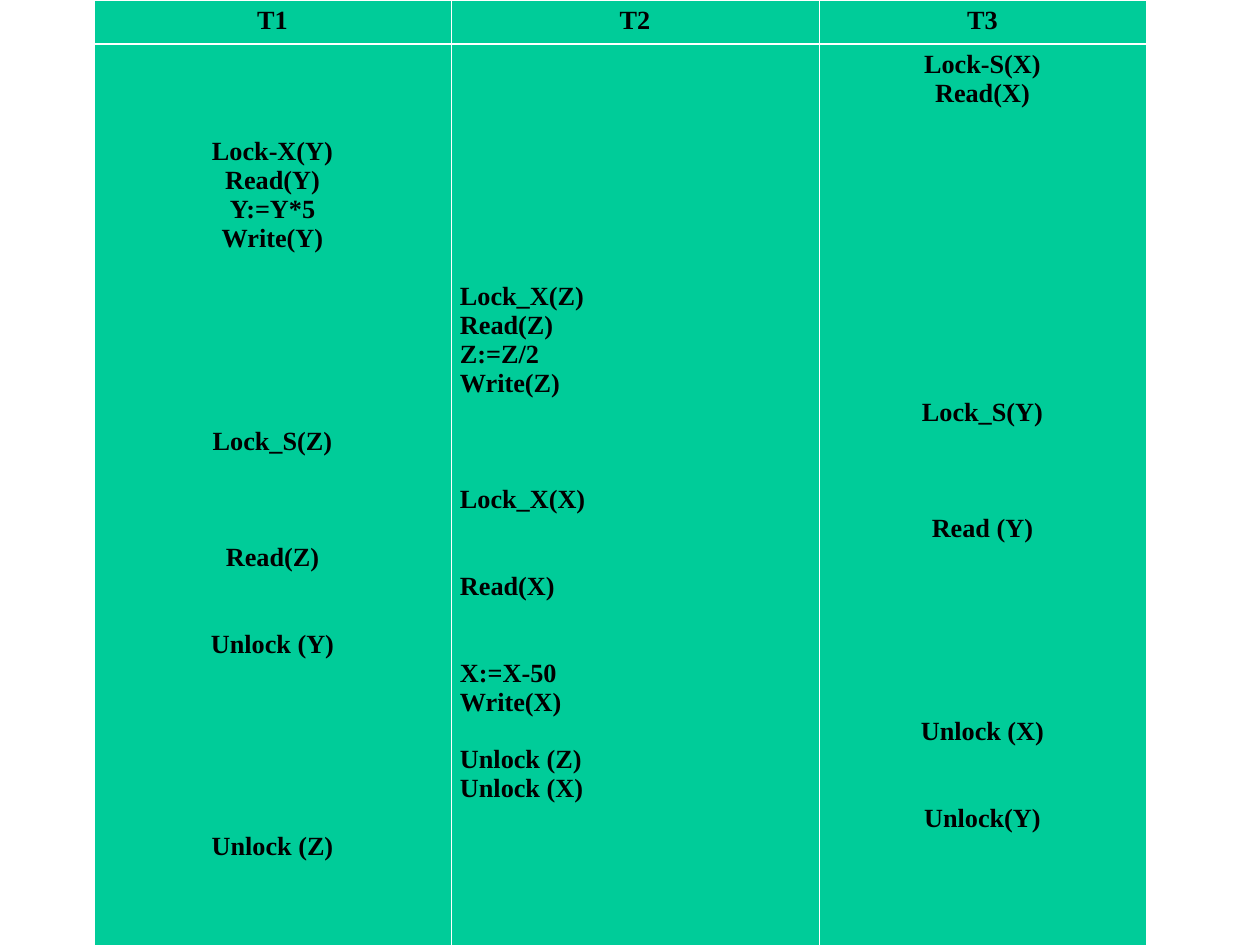
from dataclasses import dataclass

from lxml import etree
from pptx import Presentation
from pptx.dml.color import RGBColor
from pptx.enum.text import MSO_ANCHOR, PP_ALIGN
from pptx.oxml.ns import qn
from pptx.util import Emu, Pt

CENTER, JUSTIFY, TOP = PP_ALIGN.CENTER, PP_ALIGN.JUSTIFY, MSO_ANCHOR.TOP

EMU_PER_PX = 914400 / 126
COLORS = {"cell": "00CC99", "text": "000000", "border": "FFFFFF"}
FONT, FONT_SIZE = "Times New Roman", 15
LINE_HEIGHT = 29
MARGIN_X, MARGIN_Y = 9, 6
TABLE_LEFT, TABLE_TOP = 94, 0
ROW_HEIGHTS = (44, 901)
THIN, THICK = 0.45, 1.47


@dataclass(frozen=True)
class Step:
    """One operation and the time slot (line number) in which it runs."""
    slot: int
    text: str


@dataclass(frozen=True)
class Transaction:
    name: str
    width: int
    align: PP_ALIGN
    steps: tuple[Step, ...]


TRANSACTIONS = (
    Transaction("T1", 357, CENTER, (
        Step(3, "Lock-X(Y)"), Step(4, "Read(Y)"), Step(5, "Y:=Y*5"),
        Step(6, "Write(Y)"), Step(13, "Lock_S(Z)"), Step(17, "Read(Z)"),
        Step(20, "Unlock (Y)"), Step(27, "Unlock (Z)"),
    )),
    Transaction("T2", 368, JUSTIFY, (
        Step(8, "Lock_X(Z)"), Step(9, "Read(Z)"), Step(10, "Z:=Z/2"),
        Step(11, "Write(Z)"), Step(15, "Lock_X(X)"), Step(18, "Read(X)"),
        Step(21, "X:=X-50"), Step(22, "Write(X)"), Step(24, "Unlock (Z)"),
        Step(25, "Unlock (X)"),
    )),
    Transaction("T3", 327, CENTER, (
        Step(0, "Lock-S(X)"), Step(1, "Read(X)"), Step(12, "Lock_S(Y)"),
        Step(16, "Read (Y)"), Step(23, "Unlock (X)"), Step(26, "Unlock(Y)"),
    )),
)


def px(n: int) -> Emu:
    return Emu(round(n * EMU_PER_PX))


def add_borders(cell, top: float, bottom: float) -> None:
    tc_pr = cell._tc.get_or_add_tcPr()
    widths = {"a:lnL": THIN, "a:lnR": THIN, "a:lnT": top, "a:lnB": bottom}
    for i, (tag, width) in enumerate(widths.items()):
        ln = etree.Element(qn(tag), w=str(Pt(width)))
        fill = etree.SubElement(ln, qn("a:solidFill"))
        etree.SubElement(fill, qn("a:srgbClr"), val=COLORS["border"])
        tc_pr.insert(i, ln)


def fill_cell(cell, steps: tuple[Step, ...], align: PP_ALIGN) -> None:
    """Place each step on the line of its slot, using margin and spacing."""
    cell.fill.solid()
    cell.fill.fore_color.rgb = RGBColor.from_string(COLORS["cell"])
    cell.vertical_anchor = TOP
    cell.margin_left = cell.margin_right = px(MARGIN_X)
    cell.margin_top = px(MARGIN_Y + steps[0].slot * LINE_HEIGHT)
    cell.margin_bottom = px(MARGIN_Y)
    tf = cell.text_frame
    for i, step in enumerate(steps):
        p = tf.add_paragraph() if i else tf.paragraphs[0]
        p.alignment = align
        if i:
            skipped = step.slot - steps[i - 1].slot - 1
            p.space_before = px(skipped * LINE_HEIGHT)
        r = p.add_run()
        r.text = step.text
        r.font.name = FONT
        r.font.size = Pt(FONT_SIZE)
        r.font.bold = True
        r.font.color.rgb = RGBColor.from_string(COLORS["text"])


def add_schedule(s, transactions: tuple[Transaction, ...]) -> None:
    width = sum(t.width for t in transactions)
    table = s.shapes.add_table(
        len(ROW_HEIGHTS), len(transactions), px(TABLE_LEFT), px(TABLE_TOP),
        px(width), px(sum(ROW_HEIGHTS))).table
    table.first_row = table.horz_banding = False
    for row, height in zip(table.rows, ROW_HEIGHTS):
        row.height = px(height)
    for col, t in enumerate(transactions):
        table.columns[col].width = px(t.width)
        header, body = table.cell(0, col), table.cell(1, col)
        fill_cell(header, (Step(0, t.name),), CENTER)
        add_borders(header, THIN, THICK)
        fill_cell(body, t.steps, t.align)
        add_borders(body, THICK, THIN)


def main() -> None:
    prs = Presentation()
    prs.slide_width, prs.slide_height = px(1260), px(945)
    s = prs.slides.add_slide(prs.slide_layouts[6])
    add_schedule(s, TRANSACTIONS)
    prs.save("out.pptx")


if __name__ == "__main__":
    main()
